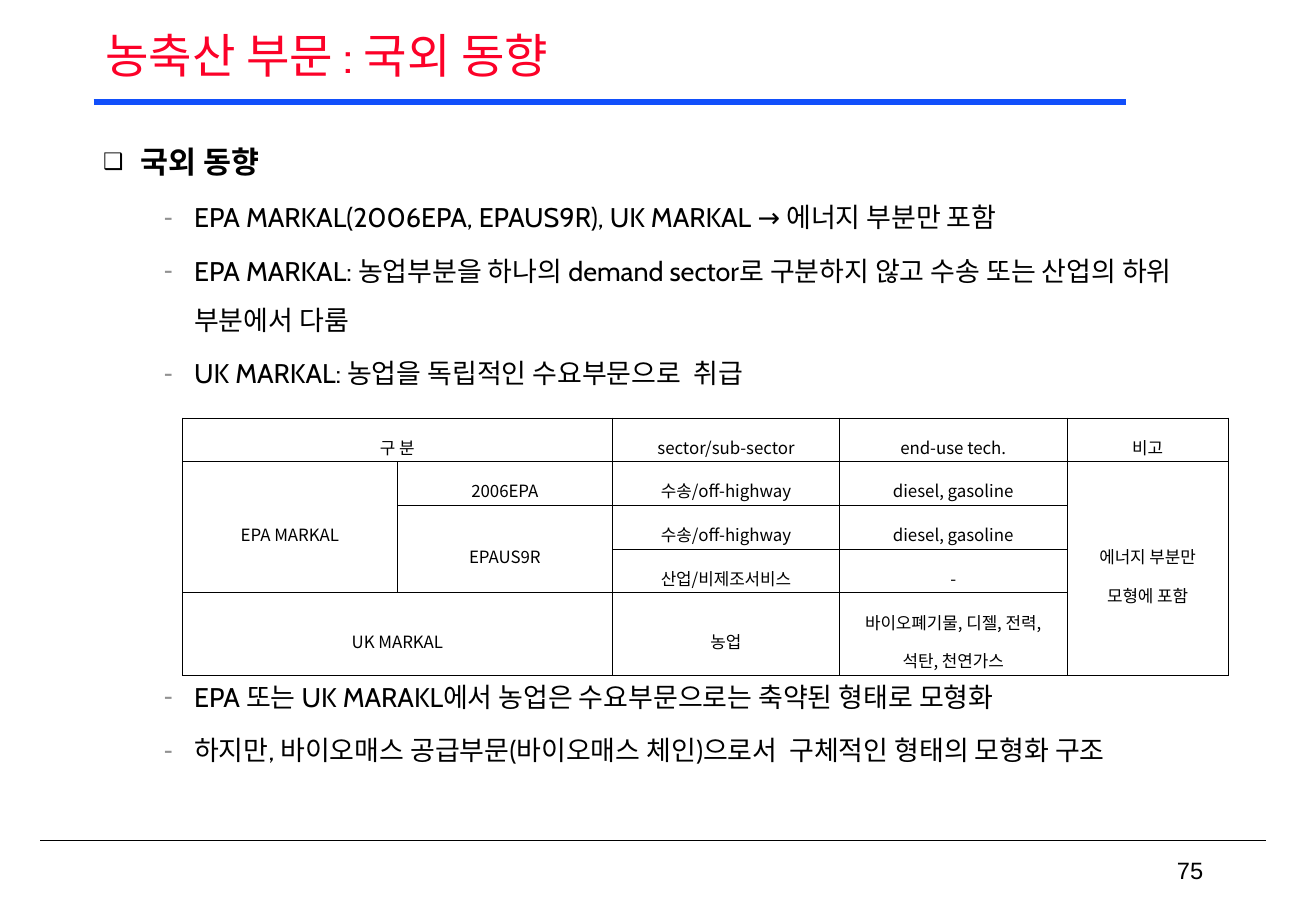
"""Build the slide on overseas trends in the agriculture and livestock sector."""
from dataclasses import dataclass

from lxml.etree import SubElement
from pptx import Presentation
from pptx.dml.color import RGBColor
from pptx.enum.shapes import MSO_CONNECTOR
from pptx.enum.text import MSO_ANCHOR, PP_ALIGN
from pptx.oxml.ns import qn
from pptx.util import Inches, Pt

TITLE = "농축산 부문 : 국외 동향"
PAGE_NUMBER = "75"
HEADING = "국외 동향"
POINTS_ABOVE_TABLE = [
    "EPA MARKAL(2006EPA, EPAUS9R), UK MARKAL → 에너지 부분만 포함",
    "EPA MARKAL: 농업부분을 하나의 demand sector로 구분하지 않고 수송 또는 산업의 하위 부분에서 다룸",
    "UK MARKAL: 농업을 독립적인 수요부문으로  취급",
]
POINTS_BELOW_TABLE = [
    "EPA 또는 UK MARAKL에서 농업은 수요부문으로는 축약된 형태로 모형화",
    "하지만, 바이오매스 공급부문(바이오매스 체인)으로서  구체적인 형태의 모형화 구조",
]
TABLE_ROWS = [
    ["구 분", None, "sector/sub-sector", "end-use tech.", "비고"],
    ["EPA MARKAL", "2006EPA", "수송/off-highway", "diesel, gasoline", "에너지 부분만 모형에 포함"],
    [None, "EPAUS9R", "수송/off-highway", "diesel, gasoline", None],
    [None, None, "산업/비제조서비스", "-", None],
    ["UK MARKAL", None, "농업", "바이오폐기물, 디젤, 전력, 석탄, 천연가스", None],
]
MERGES = [((0, 0), (0, 1)), ((1, 0), (3, 0)), ((1, 4), (4, 4)), ((2, 1), (3, 1)), ((4, 0), (4, 1))]
COLUMN_WIDTHS = [1.77, 1.77, 1.87, 1.87, 1.33]
ROW_HEIGHTS = [0.36, 0.36, 0.36, 0.36, 0.68]


@dataclass(frozen=True)
class Theme:
    """Colours, fonts and type sizes."""
    ink: str = "000000"
    title: str = "FC0128"
    rule: str = "114FFB"
    dash: str = "919191"
    body_font: str = "Cabin"
    korean_font: str = "Noto Sans CJK KR"
    plain_font: str = "Arial"
    title_size: int = 28
    heading_size: int = 18
    point_size: int = 16
    number_size: int = 14
    table_size: int = 10
    table_gap: int = 160


THEME = Theme()


def style(paragraph, font, size, color=THEME.ink, bold=False):
    for span in paragraph.runs:
        span.font.name = font
        span.font.size = Pt(size)
        span.font.bold = bold
        span.font.color.rgb = RGBColor.from_string(color)
        SubElement(span._r.get_or_add_rPr(), qn("a:ea"), typeface=THEME.korean_font)


def add_rule(page, start, end, y, color, width):
    rule = page.shapes.add_connector(
        MSO_CONNECTOR.STRAIGHT, Inches(start), Inches(y), Inches(end), Inches(y))
    rule.line.color.rgb = RGBColor.from_string(color)
    rule.line.width = Pt(width)
    SubElement(rule._element.spPr, qn("a:effectLst"))


def add_box(page, left, top, width, height, anchor=MSO_ANCHOR.TOP):
    box = page.shapes.add_textbox(Inches(left), Inches(top), Inches(width), Inches(height))
    frame = box.text_frame
    frame.word_wrap = True
    frame.vertical_anchor = anchor
    return frame


def set_bullet(paragraph, symbol, color, margin, hanging, percent=100):
    properties = paragraph._p.get_or_add_pPr()
    properties.set("marL", str(Inches(margin)))
    properties.set("indent", str(-Inches(hanging)))
    tint = SubElement(properties, qn("a:buClr"))
    SubElement(tint, qn("a:srgbClr"), val=color)
    SubElement(properties, qn("a:buSzPct"), val=str(percent * 1000))
    SubElement(properties, qn("a:buFont"), typeface=THEME.plain_font)
    SubElement(properties, qn("a:buChar"), char=symbol)
    paragraph.line_spacing = 1.5
    paragraph.space_after = Pt(3)


def add_body(page):
    frame = add_box(page, 0.75, 0.98, 9.58, 5.68)
    heading = frame.paragraphs[0]
    heading.text = HEADING
    set_bullet(heading, "❑", THEME.ink, 0.31, 0.31, 75)
    style(heading, THEME.body_font, THEME.heading_size, bold=True)
    for index, text in enumerate(POINTS_ABOVE_TABLE + POINTS_BELOW_TABLE):
        point = frame.add_paragraph()
        point.text = text
        point.level = 1
        set_bullet(point, "-", THEME.dash, 0.75, 0.25)
        if index == len(POINTS_ABOVE_TABLE):
            point.space_before = Pt(THEME.table_gap)
        style(point, THEME.body_font, THEME.point_size)


def format_cell(cell):
    cell.vertical_anchor = MSO_ANCHOR.MIDDLE
    cell.margin_left = cell.margin_right = Inches(0.07)
    cell.margin_top = cell.margin_bottom = Inches(0.02)
    properties = cell._tc.get_or_add_tcPr()
    for side in ("lnL", "lnR", "lnT", "lnB"):
        border = SubElement(properties, qn(f"a:{side}"), w=str(Pt(0.28)))
        fill = SubElement(border, qn("a:solidFill"))
        SubElement(fill, qn("a:srgbClr"), val=THEME.ink)
    cell.fill.background()
    paragraph = cell.text_frame.paragraphs[0]
    paragraph.alignment = PP_ALIGN.CENTER
    paragraph.line_spacing = 1.6
    style(paragraph, THEME.korean_font, THEME.table_size)


def add_sector_table(page):
    table = page.shapes.add_table(
        len(ROW_HEIGHTS), len(COLUMN_WIDTHS), Inches(1.5), Inches(3.44),
        Inches(sum(COLUMN_WIDTHS)), Inches(sum(ROW_HEIGHTS))).table
    table.first_row = table.horz_banding = False
    for column, width in zip(table.columns, COLUMN_WIDTHS):
        column.width = Inches(width)
    for row, height, texts in zip(table.rows, ROW_HEIGHTS, TABLE_ROWS):
        row.height = Inches(height)
        for cell, text in zip(row.cells, texts):
            if text:
                cell.text_frame.text = text
            format_cell(cell)
    for first, last in MERGES:
        table.cell(*first).merge(table.cell(*last))


def main():
    deck = Presentation()
    deck.slide_width, deck.slide_height = Inches(10.83), Inches(7.5)
    page = deck.slides.add_slide(deck.slide_layouts[6])

    add_rule(page, 0.33, 10.42, 6.92, THEME.ink, 1)
    add_rule(page, 0.77, 9.27, 0.84, THEME.rule, 3.75)

    title = add_box(page, 0.77, 0.17, 9.29, 0.62, MSO_ANCHOR.MIDDLE).paragraphs[0]
    title.text = TITLE
    title.line_spacing = 0.9
    style(title, THEME.body_font, THEME.title_size, THEME.title)

    number = add_box(page, 7.75, 7, 2.25, 0.33, MSO_ANCHOR.MIDDLE).paragraphs[0]
    number.text = PAGE_NUMBER
    number.alignment = PP_ALIGN.RIGHT
    style(number, THEME.plain_font, THEME.number_size)

    add_body(page)
    add_sector_table(page)
    deck.save("out.pptx")


if __name__ == "__main__":
    main()
